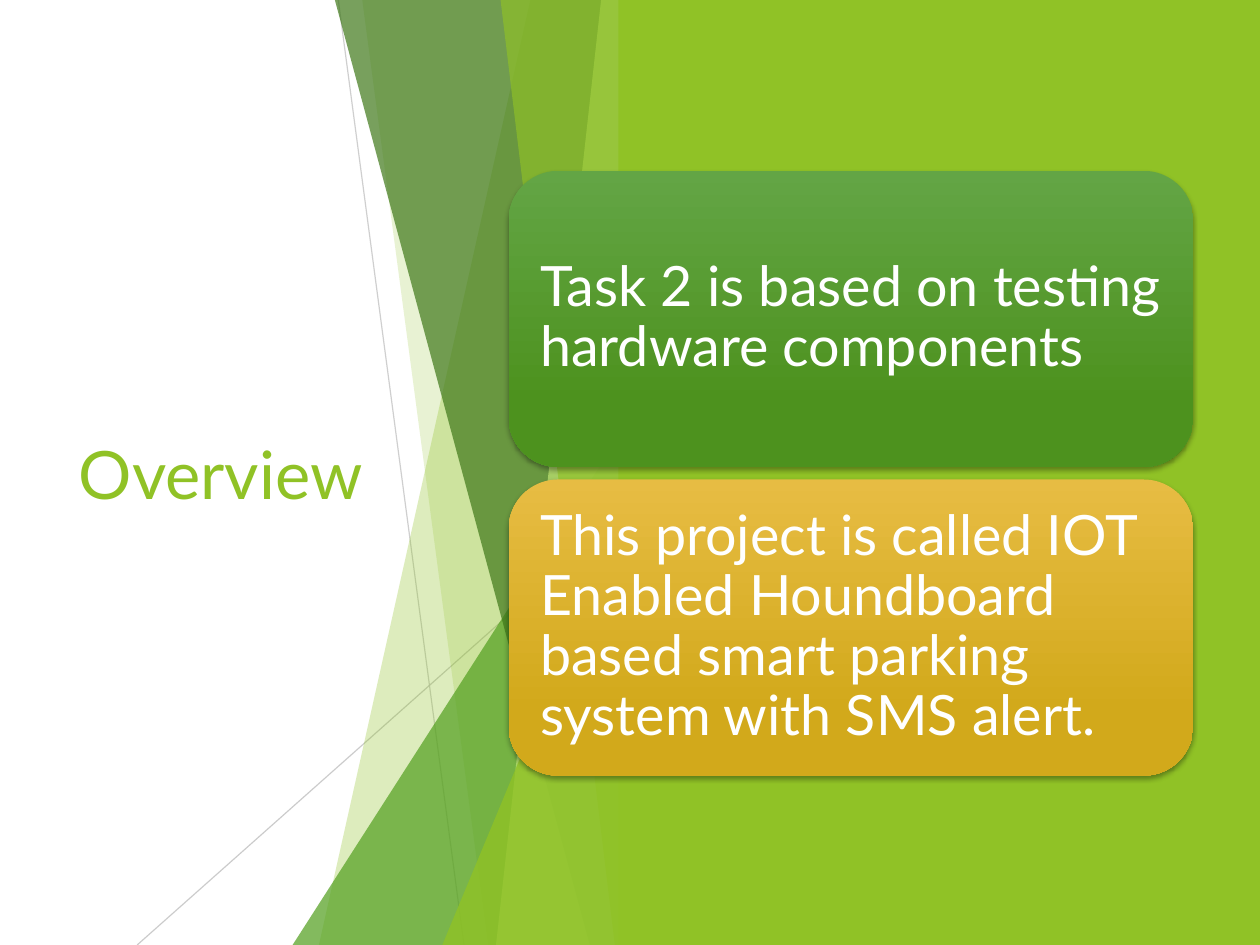
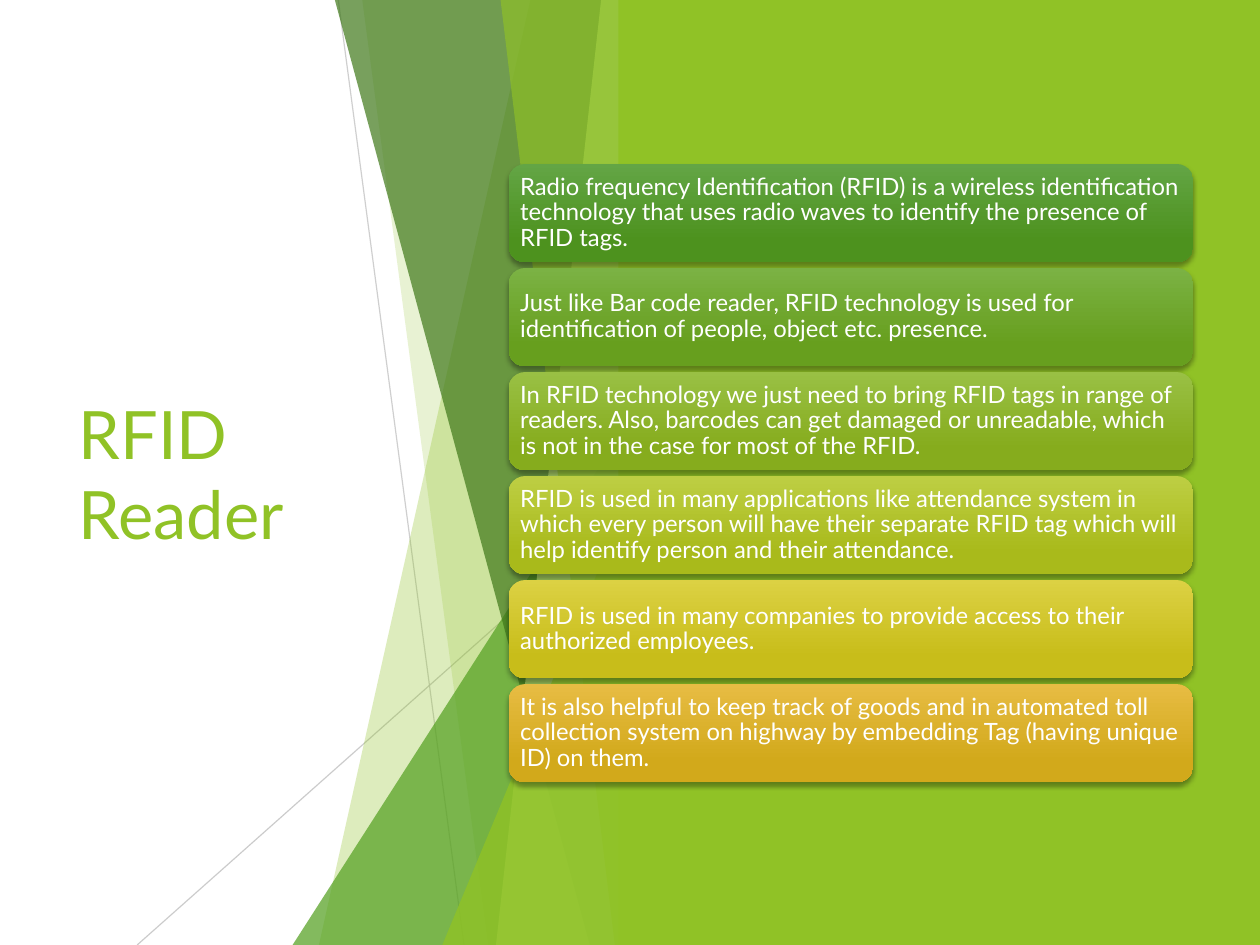
"""Build two project slides that share a faceted green backdrop and stacked cards."""
from dataclasses import dataclass

import lxml.etree
import pptx
import pptx.dml.color
import pptx.enum.shapes
import pptx.enum.text
import pptx.oxml.ns
import pptx.presentation
import pptx.shapes.autoshape
import pptx.shapes.base
import pptx.slide
import pptx.text.text
import pptx.util

Inches = pptx.util.Inches
Pt = pptx.util.Pt
RGBColor = pptx.dml.color.RGBColor
Preset = pptx.enum.shapes.MSO_SHAPE
qn = pptx.oxml.ns.qn

LIME = RGBColor(0x90, 0xC2, 0x26)
GREEN = RGBColor(0x54, 0xA0, 0x21)
FOREST = RGBColor(0x3F, 0x78, 0x19)
PALE_LIME = RGBColor(0xC0, 0xE4, 0x74)
GREY = RGBColor(0xBF, 0xBF, 0xBF)
WHITE = RGBColor(0xFF, 0xFF, 0xFF)

FONT = "Lato"
SLIDE_WIDTH, SLIDE_HEIGHT = Pt(793.75), Pt(595.25)
WIDTH, HEIGHT = SLIDE_WIDTH.inches, SLIDE_HEIGHT.inches
FACET_RIGHT = 5.51
PANEL_LEFT = 5.41
CARD_LEFT, CARD_WIDTH = 4.45, 5.99
STACK_MIDDLE = 4.14


@dataclass(frozen=True)
class Ray:
    """A thin line behind the facets."""
    start: tuple[float, float]
    end: tuple[float, float]
    opacity: int


@dataclass(frozen=True)
class Band:
    """A full-height facet with a slanted left edge."""
    top_x: float
    bottom_x: float
    color: RGBColor
    opacity: int


@dataclass(frozen=True)
class Wedge:
    """A right-angled facet rising to the right."""
    left: float
    top: float
    color: RGBColor
    opacity: int


@dataclass(frozen=True)
class Shade:
    """The two gradient colours of a card."""
    light: RGBColor
    deep: RGBColor


@dataclass(frozen=True)
class Card:
    """One statement and its shade."""
    text: str
    shade: Shade


@dataclass(frozen=True)
class Topic:
    """A slide title with its stack of cards."""
    title: str
    card_height: float
    gap: float
    inset: float
    size: int
    cards: tuple[Card, ...]


RAYS = (
    Ray((2.96, 0), (4.06, HEIGHT), 75),
    Ray((FACET_RIGHT, 4.44), (1.2, HEIGHT), 80),
)
FACETS = (
    Band(4.64, 2.79, LIME, 30),
    Band(3.17, 4.27, LIME, 20),
    Wedge(2.56, 3.67, GREEN, 72),
    Band(2.93, 5.16, FOREST, 70),
    Band(5.26, 4.34, PALE_LIME, 70),
    Band(4.38, 5.38, LIME, 65),
    Wedge(3.87, 4.33, LIME, 80),
)

GREEN_SHADE = Shade(RGBColor(0x63, 0xA5, 0x45), RGBColor(0x4D, 0x92, 0x1E))
LEAF_SHADE = Shade(RGBColor(0x7B, 0xB2, 0x44), RGBColor(0x67, 0x9F, 0x1E))
MOSS_SHADE = Shade(RGBColor(0x99, 0xC0, 0x44), RGBColor(0x86, 0xAC, 0x1D))
OLIVE_SHADE = Shade(RGBColor(0xBD, 0xCE, 0x43), RGBColor(0xA9, 0xBA, 0x1B))
YELLOW_SHADE = Shade(RGBColor(0xDC, 0xD1, 0x43), RGBColor(0xC8, 0xBD, 0x1A))
AMBER_SHADE = Shade(RGBColor(0xE7, 0xBC, 0x43), RGBColor(0xD2, 0xA9, 0x1B))

TOPICS = (
    Topic("Overview", 2.59, 0.11, 0.15, 35, (
        Card("Task 2 is based on testing hardware components", GREEN_SHADE),
        Card("This project is called IOT Enabled Houndboard based smart parking "
             "system with SMS alert.", AMBER_SHADE),
    )),
    Topic("RFID Reader", 0.86, 0.05, 0.06, 15, (
        Card("Radio frequency Identification (RFID) is a wireless identification "
             "technology that uses radio waves to identify the presence of RFID tags.",
             GREEN_SHADE),
        Card("Just like Bar code reader, RFID technology is used for identification "
             "of people, object etc. presence.", LEAF_SHADE),
        Card("In RFID technology we just need to bring RFID tags in range of readers. "
             "Also, barcodes can get damaged or unreadable, which is not in the case "
             "for most of the RFID.", MOSS_SHADE),
        Card("RFID is used in many applications like attendance system in which every "
             "person will have their separate RFID tag which will help identify person "
             "and their attendance.", OLIVE_SHADE),
        Card("RFID is used in many companies to provide access to their authorized "
             "employees.", YELLOW_SHADE),
        Card("It is also helpful to keep track of goods and in automated toll "
             "collection system on highway by embedding Tag (having unique ID) on them.",
             AMBER_SHADE),
    )),
)


def set_opacity(shape: pptx.shapes.base.BaseShape, percent: int) -> None:
    """Make the colours of a shape partly transparent."""
    for color in shape._element.iter(qn("a:srgbClr")):
        lxml.etree.SubElement(color, qn("a:alpha"), val=str(percent * 1000))


def paint(shape: pptx.shapes.autoshape.Shape, color: RGBColor) -> None:
    """Give a shape a flat fill without outline or shadow."""
    shape.fill.solid()
    shape.fill.fore_color.rgb = color
    shape.line.fill.background()
    shape.shadow.inherit = False


def draw_ray(slide: pptx.slide.Slide, ray: Ray) -> None:
    """Draw one thin grey line."""
    line = slide.shapes.add_connector(
        pptx.enum.shapes.MSO_CONNECTOR.STRAIGHT,
        *(Inches(value) for value in ray.start + ray.end))
    line.line.color.rgb = GREY
    line.line.width = Pt(0.75)
    lxml.etree.SubElement(line._element.spPr, qn("a:effectLst"))
    set_opacity(line, ray.opacity)


def draw_facet(slide: pptx.slide.Slide, facet: Band | Wedge) -> None:
    """Draw one translucent facet that ends at the shared right edge."""
    if isinstance(facet, Band):
        outline = slide.shapes.build_freeform(Inches(facet.top_x), 0)
        corners = ((FACET_RIGHT, 0), (FACET_RIGHT, HEIGHT), (facet.bottom_x, HEIGHT))
        outline.add_line_segments([(Inches(x), Inches(y)) for x, y in corners])
        shape = outline.convert_to_shape()
    else:
        shape = slide.shapes.add_shape(
            Preset.ISOSCELES_TRIANGLE, Inches(facet.left), Inches(facet.top),
            Inches(FACET_RIGHT - facet.left), Inches(HEIGHT - facet.top))
        shape.adjustments[0] = 1
    paint(shape, facet.color)
    set_opacity(shape, facet.opacity)


def draw_backdrop(slide: pptx.slide.Slide) -> None:
    """Draw the rays, the facets and the right-hand panel."""
    for ray in RAYS:
        draw_ray(slide, ray)
    for facet in FACETS:
        draw_facet(slide, facet)
    panel = slide.shapes.add_shape(
        Preset.RECTANGLE, Inches(PANEL_LEFT), 0,
        Inches(WIDTH - PANEL_LEFT), SLIDE_HEIGHT)
    paint(panel, LIME)


def add_soft_shadow(shape: pptx.shapes.autoshape.Shape) -> None:
    """Cast a soft shadow straight down."""
    shape.shadow.inherit = False
    effects = shape._element.spPr.find(qn("a:effectLst"))
    shadow = lxml.etree.SubElement(
        effects, qn("a:outerShdw"), blurRad=str(Pt(3)), dist=str(Pt(2)),
        dir="5400000", rotWithShape="0")
    black = lxml.etree.SubElement(shadow, qn("a:srgbClr"), val="000000")
    lxml.etree.SubElement(black, qn("a:alpha"), val="35000")


def draw_card(slide: pptx.slide.Slide, topic: Topic, card: Card, top: float) -> None:
    """Draw one rounded gradient card with its statement."""
    shape = slide.shapes.add_shape(
        Preset.ROUNDED_RECTANGLE, Inches(CARD_LEFT), Inches(top),
        Inches(CARD_WIDTH), Inches(topic.card_height))
    shape.fill.gradient()
    shape.fill.gradient_angle = 270
    light, deep = shape.fill.gradient_stops
    light.color.rgb, light.position = card.shade.light, 0
    deep.color.rgb, deep.position = card.shade.deep, 0.78
    shape.line.fill.background()
    add_soft_shadow(shape)

    frame = shape.text_frame
    frame.word_wrap = True
    frame.vertical_anchor = pptx.enum.text.MSO_ANCHOR.MIDDLE
    frame.margin_left = frame.margin_right = Inches(topic.inset)
    frame.margin_top = frame.margin_bottom = Inches(topic.inset)
    statement = frame.paragraphs[0]
    statement.text = card.text
    statement.alignment = pptx.enum.text.PP_ALIGN.LEFT
    statement.line_spacing = 0.9
    style_font(statement.font, topic.size, WHITE)


def style_font(font: pptx.text.text.Font, size: int, color: RGBColor) -> None:
    """Set the shared typeface with a size and a colour."""
    font.name = FONT
    font.size = Pt(size)
    font.color.rgb = color


def write_title(slide: pptx.slide.Slide, text: str) -> None:
    """Place and format the slide title."""
    title = slide.shapes.title
    title.left, title.top = Inches(0.59), Inches(1.67)
    title.width, title.height = Inches(3.21), Inches(4.93)
    frame = title.text_frame
    frame.text = text
    frame.word_wrap = True
    frame.auto_size = pptx.enum.text.MSO_AUTO_SIZE.NONE
    frame.vertical_anchor = pptx.enum.text.MSO_ANCHOR.MIDDLE
    heading = frame.paragraphs[0]
    heading.alignment = pptx.enum.text.PP_ALIGN.LEFT
    style_font(heading.font, 42, LIME)


def build_slide(deck: pptx.presentation.Presentation, topic: Topic) -> None:
    """Add one slide with its title and a vertically centred card stack."""
    slide = deck.slides.add_slide(deck.slide_layouts.get_by_name("Title Only"))
    write_title(slide, topic.title)
    draw_backdrop(slide)
    pitch = topic.card_height + topic.gap
    first_top = STACK_MIDDLE - (len(topic.cards) * pitch - topic.gap) / 2
    for index, card in enumerate(topic.cards):
        draw_card(slide, topic, card, first_top + index * pitch)


def main() -> None:
    """Build and save the presentation."""
    deck = pptx.Presentation()
    deck.slide_width, deck.slide_height = SLIDE_WIDTH, SLIDE_HEIGHT
    for topic in TOPICS:
        build_slide(deck, topic)
    deck.save("out.pptx")


if __name__ == "__main__":
    main()
